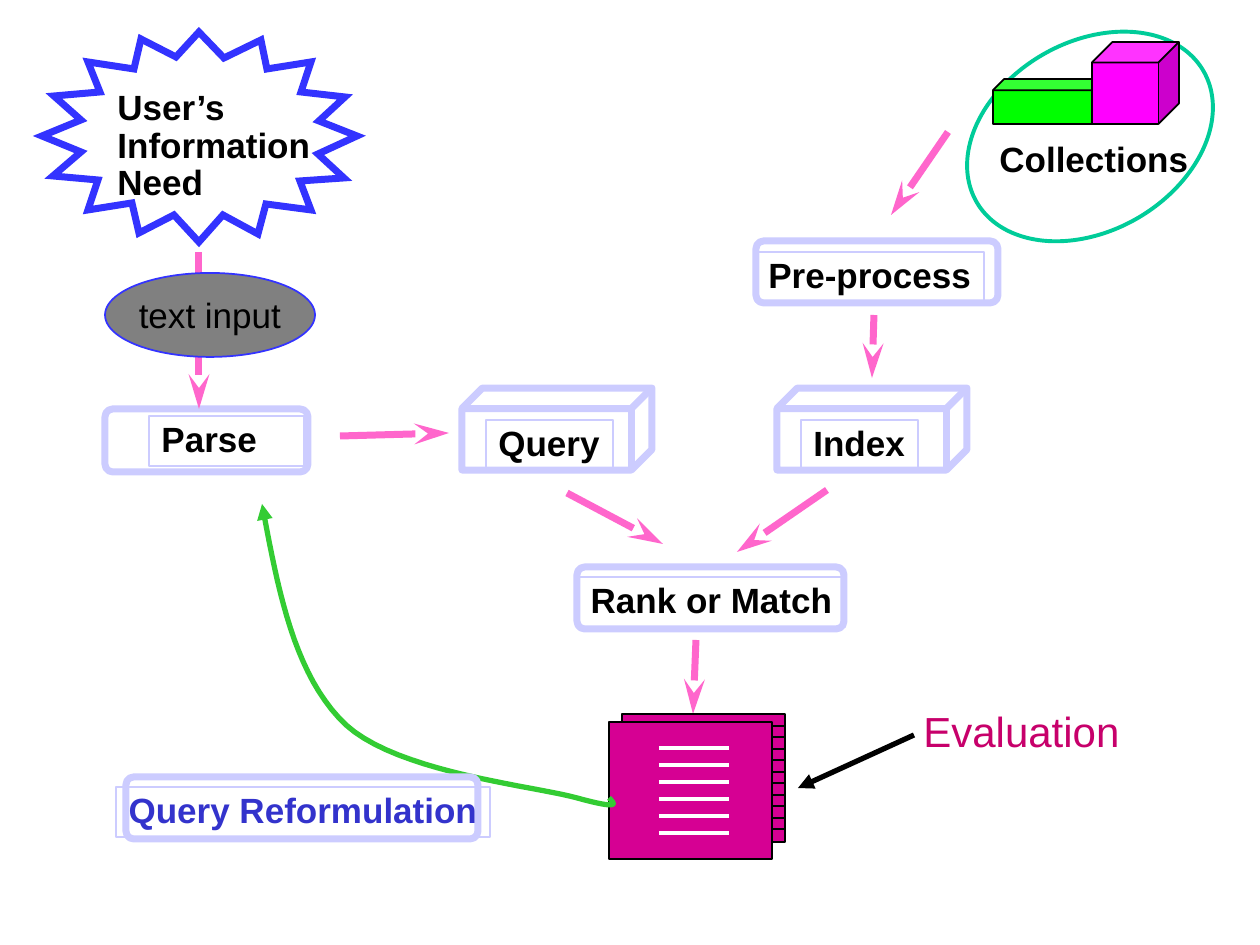
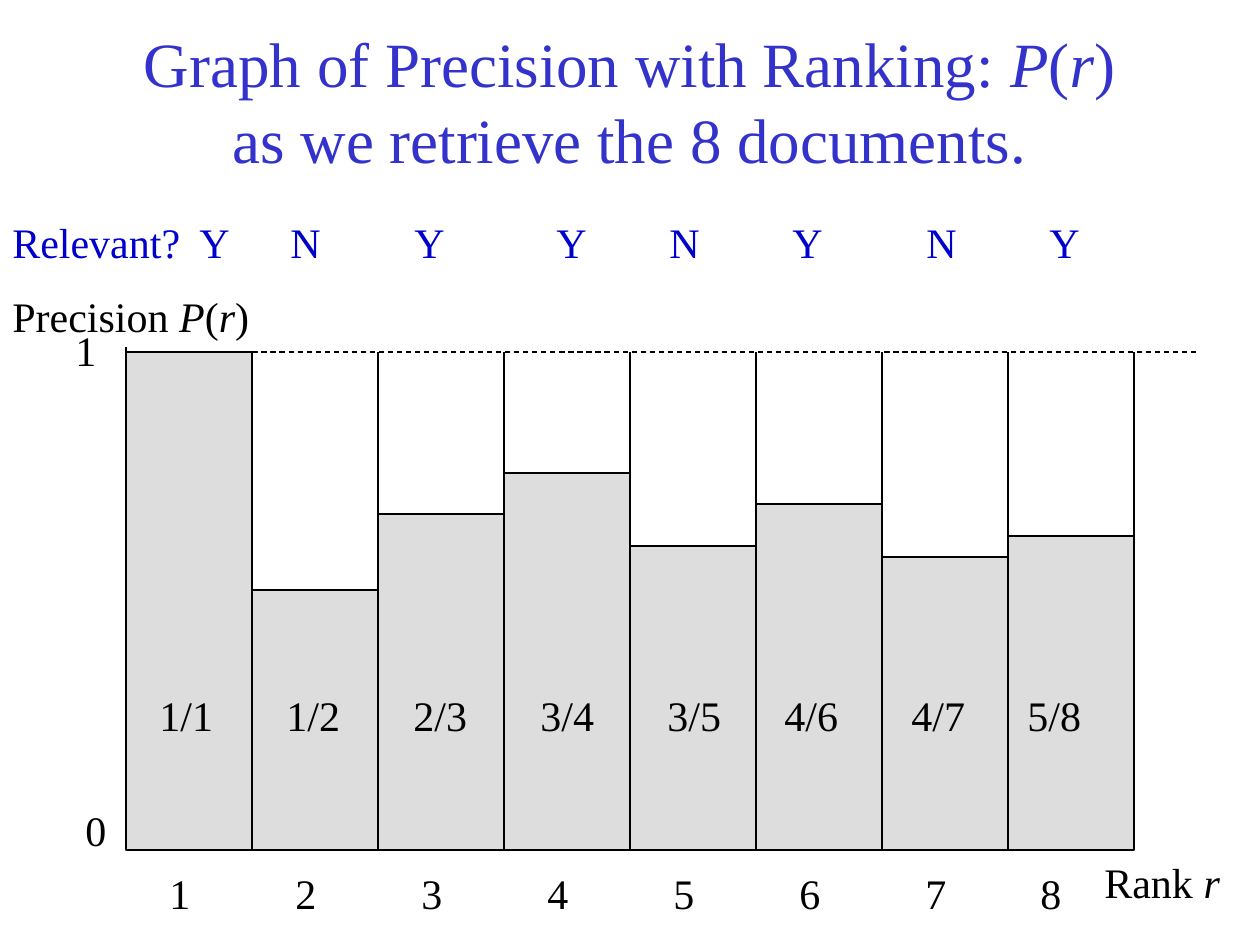
from pptx import Presentation
from pptx.dml.color import RGBColor
from pptx.enum.dml import MSO_LINE
from pptx.enum.shapes import MSO_CONNECTOR, MSO_SHAPE
from pptx.enum.text import MSO_ANCHOR, MSO_AUTO_SIZE, PP_ALIGN
from pptx.oxml.ns import qn
from pptx.util import Pt
from lxml.etree import SubElement

EMU_PER_PX = 914400 / 126
BLACK, WHITE = "000000", "FFFFFF"
BLUE, TITLE_BLUE, MARK_BLUE = "3333FF", "3333CC", "0000CC"
LAVENDER, PINK, GREEN = "CCCCFF", "FF66CC", "33CC33"
MAGENTA, EVALUATION_RED, BAR_GREY = "D60093", "C7006B", "DDDDDD"
SANS, SERIF = "Arial", "Times New Roman"

STARBURST = [
    (42, 136), (81, 152), (53, 176), (98, 180), (88, 210), (132, 203), (139, 233), (174, 215),
    (199, 242), (223, 215), (258, 234), (266, 204), (311, 210), (300, 181), (344, 178), (318, 154),
    (357, 136), (319, 121), (345, 97), (301, 92), (311, 62), (267, 69), (261, 40), (224, 58),
    (199, 32), (176, 57), (141, 39), (134, 69), (88, 62), (100, 92), (54, 96), (81, 120),
]
FEEDBACK_CURVE = [
    [(609, 798), (615, 804), (621, 810), (577, 798)],
    [(577, 798), (534, 786), (399, 773), (346, 725)],
    [(346, 725), (294, 676), (278, 590), (262, 504)],
]
STAGES = [
    (MSO_SHAPE.CUBE, (777, 388, 190, 82), "Index", (801, 420, 117, 50), {}),
    (MSO_SHAPE.ROUNDED_RECTANGLE, (756, 241, 242, 62), "Pre-process", (756, 252, 228, 50), {}),
    (MSO_SHAPE.ROUNDED_RECTANGLE, (105, 409, 203, 63), "Parse", (149, 416, 155, 50),
     {"wrap": True}),
    (MSO_SHAPE.ROUNDED_RECTANGLE, (577, 567, 267, 62), "Rank or Match", (578, 577, 267, 50),
     {"align": PP_ALIGN.CENTER}),
    (MSO_SHAPE.CUBE, (462, 388, 190, 82), "Query", (486, 420, 127, 50), {}),
    (MSO_SHAPE.ROUNDED_RECTANGLE, (126, 777, 352, 62), "Query Reformulation",
     (116, 787, 374, 50), {"align": PP_ALIGN.CENTER, "color": TITLE_BLUE}),
]
FLOW = [
    ((948, 132), (891, 215)), ((340, 436), (449, 433)), ((874, 315), (872, 378)),
    ((567, 493), (663, 544)), ((827, 490), (737, 552)), ((696, 640), (693, 714)),
    ((199, 252), (199, 409)),
]
BARS = [("1/1", 352), ("1/2", 590), ("2/3", 514), ("3/4", 473),
        ("3/5", 546), ("4/6", 504), ("4/7", 557), ("5/8", 536)]
BAR_WIDTH, AXIS_TOP, AXIS_BASE = 126, 352, 850


def px(length):
    """Turn pixels into EMU."""
    return round(length * EMU_PER_PX)


def rgb(hex_color):
    """Turn a hex string into a colour."""
    return RGBColor.from_string(hex_color)


def style(shape, fill=None, line=BLACK, width=1):
    """Set fill and outline of a shape and drop its shadow."""
    shape.shadow.inherit = False
    if fill:
        shape.fill.solid()
        shape.fill.fore_color.rgb = rgb(fill)
    else:
        shape.fill.background()
    shape.line.color.rgb = rgb(line)
    shape.line.width = Pt(width)


def add_arrowhead(shape, kind, length="med"):
    """Put an arrowhead at the end of a line."""
    SubElement(shape.line._get_or_add_ln(), qn("a:tailEnd"), type=kind, w="med", len=length)


def add_figure(slide, kind, box, adjustment=None, **look):
    """Draw a preset shape."""
    figure = slide.shapes.add_shape(kind, *map(px, box))
    if adjustment is not None:
        figure.adjustments[0] = adjustment
    style(figure, **look)
    return figure


def add_outline(slide, points, close=True, **look):
    """Draw a freeform with sharp corners through the points."""
    corners = [(px(x), px(y)) for x, y in points]
    builder = slide.shapes.build_freeform(*corners[0])
    builder.add_line_segments(corners[1:], close=close)
    outline = builder.convert_to_shape()
    style(outline, **look)
    SubElement(outline.line._get_or_add_ln(), qn("a:miter"), lim="800000")
    return outline


def add_line(slide, start, end, color=BLACK, width=0.75, dash=None):
    """Draw a straight line."""
    line = slide.shapes.add_connector(MSO_CONNECTOR.STRAIGHT, *map(px, start + end))
    line.line.color.rgb = rgb(color)
    line.line.width = Pt(width)
    if dash:
        line.line.dash_style = dash
    SubElement(line._element.spPr, qn("a:effectLst"))
    return line


def write(shape, text, size=20, font=SANS, color=BLACK, bold=False, align=PP_ALIGN.LEFT,
          spacing=None, wrap=False, grow=True, anchor=MSO_ANCHOR.TOP, tabs=()):
    """Fill a shape with text, where asterisks enclose italics."""
    frame = shape.text_frame
    frame.word_wrap = wrap
    frame.auto_size = MSO_AUTO_SIZE.SHAPE_TO_FIT_TEXT if grow else MSO_AUTO_SIZE.NONE
    frame.vertical_anchor = anchor
    for number, content in enumerate(text.split("\n")):
        paragraph = frame.add_paragraph() if number else frame.paragraphs[0]
        if tabs:
            stops = SubElement(paragraph._p.get_or_add_pPr(), qn("a:tabLst"))
            for stop in tabs:
                SubElement(stops, qn("a:tab"), pos=str(px(stop)), algn="l")
        paragraph.alignment = align
        paragraph.line_spacing = spacing
        for part, passage in enumerate(content.split("*")):
            for row, piece in enumerate(passage.split("\v")):
                if row:
                    paragraph.add_line_break()
                run = paragraph.add_run()
                run.text = piece
                run.font.name, run.font.size = font, Pt(size)
                run.font.bold, run.font.italic = bold, part % 2 == 1
                run.font.color.rgb = rgb(color)


def add_text(slide, box, text, **form):
    """Add a text box."""
    write(slide.shapes.add_textbox(*map(px, box)), text, **form)


def add_stage(slide, kind, box, label, label_box, form):
    """Draw a process step with its framed label."""
    adjustment = 0.25 if kind == MSO_SHAPE.CUBE else 0.125
    add_figure(slide, kind, box, adjustment, line=LAVENDER, width=4)
    frame = add_figure(slide, MSO_SHAPE.RECTANGLE, label_box, line=LAVENDER, width=0.75)
    write(frame, label, bold=True, spacing=0.9, **form)


def add_documents(slide):
    """Draw the stack of retrieved documents."""
    strips = [(622, 726 + 23 * i, 163, 11) for i in range(5)]
    for page in [(622, 714, 163, 128), *strips, (609, 722, 163, 137)]:
        add_figure(slide, MSO_SHAPE.RECTANGLE, page, fill=MAGENTA)
    for i in range(6):
        y = 748 + 17 * i
        add_line(slide, (659, y), (729, y), WHITE, 2)


def curve_points(segments, steps=20):
    """Sample a chain of cubic curves."""
    points = [segments[0][0]]
    for a, b, c, d in segments:
        for step in range(1, steps + 1):
            t = step / steps
            weights = ((1 - t) ** 3, 3 * t * (1 - t) ** 2, 3 * t * t * (1 - t), t ** 3)
            points.append(tuple(sum(w * v for w, v in zip(weights, axis))
                                for axis in zip(a, b, c, d)))
    return points


def add_chart_text(slide, box, text, **form):
    """Add a serif text of the precision graph."""
    add_text(slide, box, text, **{"size": 24, "font": SERIF, "wrap": True, **form})


def add_row(slide, box, entries, lefts, **form):
    """Write entries in one line, each at its own left edge."""
    start = box[0] + 13
    add_chart_text(slide, box, "\t".join(entries), tabs=[x - start for x in lefts], **form)


def build_retrieval_process(slide):
    """Build the diagram of the retrieval process."""
    add_outline(slide, STARBURST, line=BLUE, width=4)
    add_text(slide, (105, 84, 218, 126), "User’s\nInformation\nNeed", bold=True, spacing=0.9)
    for stage in STAGES[:-1]:
        add_stage(slide, *stage)
    for start, end in FLOW:
        add_arrowhead(add_line(slide, start, end, PINK, 4), "stealth", "lg")
    add_documents(slide)

    collections = add_figure(slide, MSO_SHAPE.OVAL, (959, 42, 262, 189),
                             line="00CC99", width=2.25)
    collections.rotation = 330
    add_figure(slide, MSO_SHAPE.CUBE, (993, 79, 113, 45), 0.25, fill="00FF00")
    add_figure(slide, MSO_SHAPE.CUBE, (1092, 42, 87, 82), 0.25, fill="FF00FF")
    add_text(slide, (987, 136, 214, 50), "Collections", bold=True, spacing=0.9)

    text_input = add_figure(slide, MSO_SHAPE.OVAL, (105, 273, 210, 84), fill="808080", line=BLUE)
    write(text_input, "text input", align=PP_ALIGN.CENTER, anchor=MSO_ANCHOR.MIDDLE, grow=False)
    feedback = add_outline(slide, curve_points(FEEDBACK_CURVE), close=False, line=GREEN, width=3)
    add_arrowhead(feedback, "triangle")
    add_stage(slide, *STAGES[-1])
    add_text(slide, (911, 699, 240, 63), "Evaluation", size=24, color=EVALUATION_RED, wrap=True)
    add_arrowhead(add_line(slide, (914, 735), (798, 788), width=3), "triangle")


def build_precision_graph(slide):
    """Build the graph of precision by rank."""
    add_chart_text(slide, (94, 21, 1071, 158),
                   "Graph of Precision with Ranking: *P*(*r*)\vas we retrieve the 8 documents.",
                   size=36, color=TITLE_BLUE, align=PP_ALIGN.CENTER,
                   anchor=MSO_ANCHOR.MIDDLE, grow=False)
    add_chart_text(slide, (0, 284, 262, 63), "Precision *P*(*r*)")
    add_chart_text(slide, (1092, 850, 147, 63), "Rank *r*")
    add_chart_text(slide, (73, 798, 63, 63), "0")
    add_chart_text(slide, (63, 318, 63, 63), "1")

    add_line(slide, (126, 347), (126, AXIS_BASE))
    add_line(slide, (126, AXIS_BASE), (1081, AXIS_BASE))
    add_line(slide, (126, AXIS_TOP), (1198, AXIS_TOP), dash=MSO_LINE.DASH)
    for rank, (_, top) in enumerate(BARS, 1):
        left, right = rank * BAR_WIDTH, (rank + 1) * BAR_WIDTH
        add_line(slide, (right, AXIS_BASE), (right, AXIS_TOP))
        add_figure(slide, MSO_SHAPE.RECTANGLE, (left, top, BAR_WIDTH, AXIS_BASE - top),
                   fill=BAR_GREY, width=0.75)

    add_row(slide, (0, 210, 1207, 63), ["Relevant?", *"YNYYNYNY"],
            [200, 291, 415, 557, 670, 793, 927, 1050], color=MARK_BLUE)
    add_row(slide, (147, 683, 987, 63), [fraction for fraction, _ in BARS],
            [287, 414, 541, 668, 785, 912, 1028])
    add_row(slide, (157, 861, 977, 63), "12345678",
            [*range(296, 1000, BAR_WIDTH), 1041])


def main():
    """Build and save the presentation."""
    deck = Presentation()
    deck.slide_width, deck.slide_height = px(1260), px(945)
    for build in (build_retrieval_process, build_precision_graph):
        build(deck.slides.add_slide(deck.slide_layouts[6]))
    deck.save("out.pptx")


if __name__ == "__main__":
    main()
